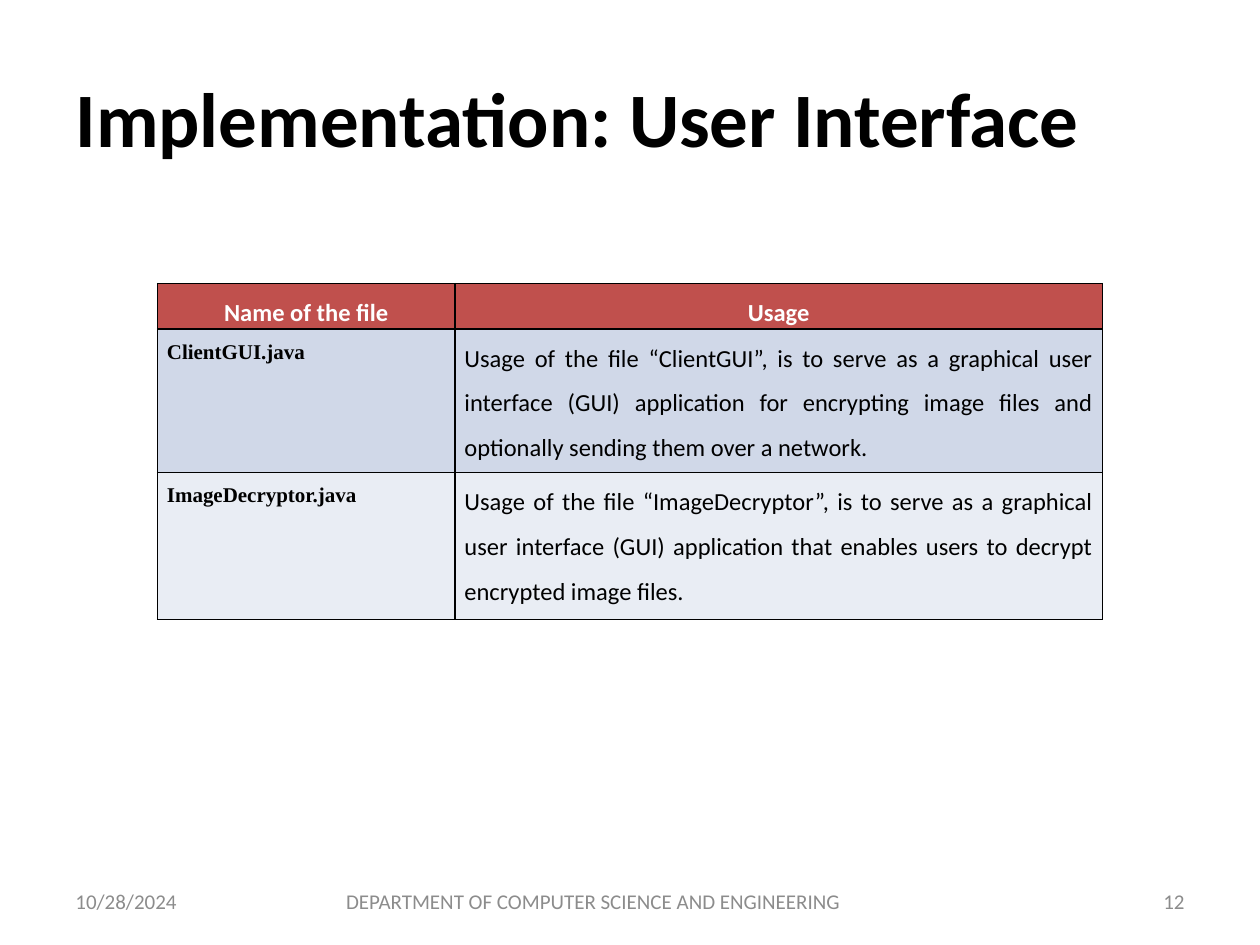
from dataclasses import dataclass

from lxml import etree
from pptx import Presentation
from pptx.dml.color import RGBColor
from pptx.enum import text as t
from pptx.oxml import ns
from pptx.util import Pt


@dataclass(frozen=True)
class Theme:
    font: str = "Calibri"
    file_font: str = "Times New Roman"
    ink: str = "000000"
    muted: str = "8C8C8C"
    header_ink: str = "FFFFFF"
    header_fill: str = "C0504D"
    band_fills: tuple = ("D0D8E8", "E9EDF4")
    title_size: float = 44
    body_size: float = 14
    small_size: float = 12


@dataclass(frozen=True)
class SourceFile:
    name: str
    usage: str


@dataclass(frozen=True)
class FooterPart:
    words: str
    left: float
    width: float
    align: t.PP_ALIGN


THEME = Theme()
LEFT, CENTER = t.PP_ALIGN.LEFT, t.PP_ALIGN.CENTER
RIGHT, JUSTIFY = t.PP_ALIGN.RIGHT, t.PP_ALIGN.JUSTIFY

HEADINGS = ("Name of the file", "Usage")
FILES = (
    SourceFile("ClientGUI.java",
               "Usage of the file “ClientGUI”, is to serve as a graphical user interface (GUI) "
               "application for encrypting image files and optionally sending them over a network."),
    SourceFile("ImageDecryptor.java",
               "Usage of the file “ImageDecryptor”, is to serve as a graphical user interface (GUI) "
               "application that enables users to decrypt encrypted image files."),
)
FOOTER = (
    FooterPart("10/28/2024", 36, 168, LEFT),
    FooterPart("DEPARTMENT OF COMPUTER SCIENCE AND ENGINEERING", 168, 342, CENTER),
    FooterPart("12", 516, 168, RIGHT),
)
COLUMN_WIDTHS = (170, 370)
ROW_HEIGHTS = (26, 82, 84)


def write(frame, words: str, *, size: float, font: str = THEME.font, color: str = THEME.ink,
          bold: bool = False, align=LEFT, spacing: float = 1.0) -> None:
    """Put one formatted paragraph into a text frame."""
    paragraph = frame.paragraphs[0]
    paragraph.alignment = align
    paragraph.line_spacing = spacing
    run = paragraph.add_run()
    run.text = words
    run.font.name = font
    run.font.size = Pt(size)
    run.font.bold = bold
    run.font.color.rgb = RGBColor.from_string(color)


def draw_title(slide, words: str) -> None:
    title = slide.shapes.title
    title.left, title.top, title.width, title.height = Pt(36), Pt(21.6), Pt(648), Pt(90)
    title.text_frame.auto_size = t.MSO_AUTO_SIZE.NONE
    title.text_frame.vertical_anchor = t.MSO_ANCHOR.MIDDLE
    write(title.text_frame, words, size=THEME.title_size, bold=True)


def draw_footer_part(slide, part: FooterPart) -> None:
    box = slide.shapes.add_textbox(Pt(part.left), Pt(500.5), Pt(part.width), Pt(28.75))
    box.text_frame.word_wrap = True
    box.text_frame.vertical_anchor = t.MSO_ANCHOR.MIDDLE
    write(box.text_frame, part.words, size=THEME.small_size, color=THEME.muted, align=part.align)


def add_borders(cell, color: str, width: float) -> None:
    properties = cell._tc.get_or_add_tcPr()
    for side in ("lnL", "lnR", "lnT", "lnB"):
        line = etree.SubElement(properties, ns.qn(f"a:{side}"), w=str(Pt(width)))
        fill = etree.SubElement(line, ns.qn("a:solidFill"))
        etree.SubElement(fill, ns.qn("a:srgbClr"), val=color)


def fill_cell(cell, words: str, fill: str, **text_format) -> None:
    cell.margin_left = cell.margin_right = Pt(5.4)
    cell.margin_top = cell.margin_bottom = Pt(0)
    add_borders(cell, THEME.ink, 1)  # borders precede the fill in the cell properties
    cell.fill.solid()
    cell.fill.fore_color.rgb = RGBColor.from_string(fill)
    write(cell.text_frame, words, spacing=1.5, **text_format)


def draw_file_table(slide) -> None:
    table = slide.shapes.add_table(len(ROW_HEIGHTS), len(COLUMN_WIDTHS), Pt(90), Pt(162),
                                   Pt(sum(COLUMN_WIDTHS)), Pt(sum(ROW_HEIGHTS))).table
    for column, width in zip(table.columns, COLUMN_WIDTHS):
        column.width = Pt(width)
    for row, height in zip(table.rows, ROW_HEIGHTS):
        row.height = Pt(height)

    # Header row
    for index, heading in enumerate(HEADINGS):
        fill_cell(table.cell(0, index), heading, THEME.header_fill, size=THEME.body_size,
                  color=THEME.header_ink, bold=True, align=CENTER)

    # One row per source file
    for row, (file, band) in enumerate(zip(FILES, THEME.band_fills), start=1):
        fill_cell(table.cell(row, 0), file.name, band, size=THEME.small_size,
                  font=THEME.file_font, bold=True)
        fill_cell(table.cell(row, 1), file.usage, band, size=THEME.body_size, align=JUSTIFY)


def main() -> None:
    deck = Presentation()
    deck.slide_width, deck.slide_height = Pt(720), Pt(540)
    slide = deck.slides.add_slide(deck.slide_layouts.get_by_name("Title Only"))
    draw_title(slide, "Implementation: User Interface")
    for part in FOOTER:
        draw_footer_part(slide, part)
    draw_file_table(slide)
    deck.save("out.pptx")


if __name__ == "__main__":
    main()
